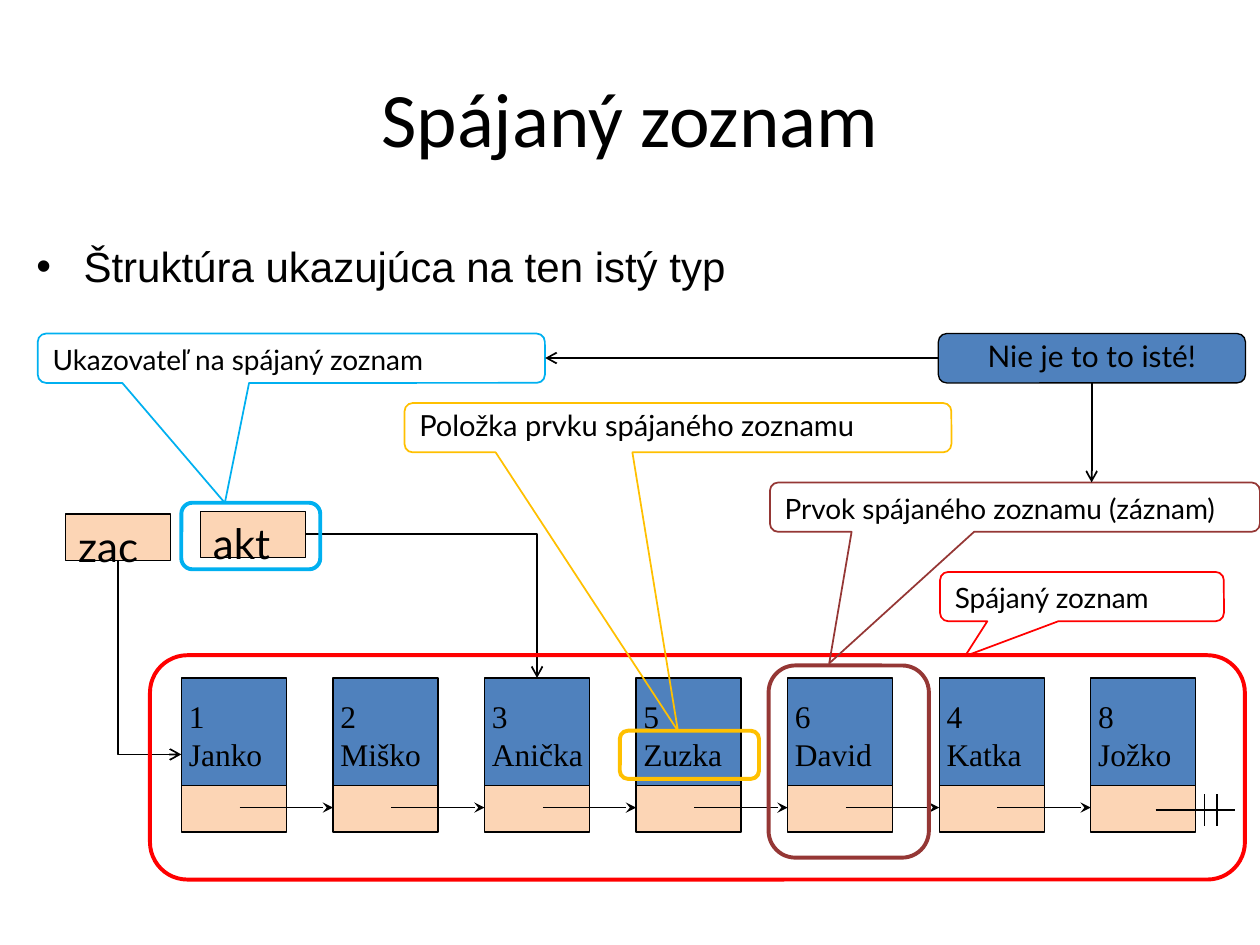
"""Build a slide that explains the parts of a linked list."""
import lxml.etree
import pptx
import pptx.dml.color
import pptx.enum.shapes
import pptx.enum.text
import pptx.oxml.ns
import pptx.util

Pt = pptx.util.Pt
SHAPE = pptx.enum.shapes.MSO_SHAPE
CONNECTOR = pptx.enum.shapes.MSO_CONNECTOR
ALIGN = pptx.enum.text.PP_ALIGN
ANCHOR = pptx.enum.text.MSO_ANCHOR
qn = pptx.oxml.ns.qn

COLORS = {
    "black": "000000",
    "blue": "4F81BD",
    "peach": "FCD5B5",
    "red": "FF0000",
    "brown": "953735",
    "amber": "FFC000",
    "cyan": "00B0F0",
}
NODES = ["1 Janko", "2 Miško", "3 Anička", "5 Zuzka", "6 David", "4 Katka", "8 Jožko"]
NODE_LEFT, NODE_TOP, NODE_PITCH = 103.7, 387.4, 86.6
NODE_WIDTH, NODE_HEIGHT = 60, 87.8
FIELD_TOP, FIELD_HEIGHT = 448.9, 26.6
LINK_Y = 461.5
LABEL_HEIGHT = 28.2


def rgb(name):
    """Return the named colour."""
    return pptx.dml.color.RGBColor.from_string(COLORS[name])


def add_bullet(paragraph):
    """Give a paragraph a bullet and a hanging indent."""
    properties = paragraph._p.get_or_add_pPr()
    properties.set("marL", str(Pt(27)))
    properties.set("indent", str(-Pt(27)))
    lxml.etree.SubElement(properties, qn("a:buFont"), typeface="Arial")
    lxml.etree.SubElement(properties, qn("a:buChar"), char="•")


def write(shape, lines, size, font, align=ALIGN.LEFT, anchor=ANCHOR.TOP, wrap=True,
          spacing=None, bullet=False):
    """Fill a shape with one paragraph per line."""
    frame = shape.text_frame
    frame.word_wrap = wrap
    frame.vertical_anchor = anchor
    frame.text = "\n".join(lines)
    for paragraph in frame.paragraphs:
        if bullet:
            add_bullet(paragraph)
        paragraph.alignment = align
        if spacing:
            paragraph.line_spacing = spacing
        paragraph.font.size = Pt(size)
        paragraph.font.name = font
        paragraph.font.color.rgb = rgb("black")


def add_text(slide, box, lines, size, font, **options):
    """Add a text box."""
    shape = slide.shapes.add_textbox(*map(Pt, box))
    write(shape, lines, size, font, **options)


def add_box(slide, kind, box, line, width, fill=None, adjustments=()):
    """Add a preset shape with an outline and an optional fill."""
    shape = slide.shapes.add_shape(kind, *map(Pt, box))
    shape.shadow.inherit = False
    if fill:
        shape.fill.solid()
        shape.fill.fore_color.rgb = rgb(fill)
    else:
        shape.fill.background()
    shape.line.color.rgb = rgb(line)
    shape.line.width = Pt(width)
    for index, value in enumerate(adjustments):
        shape.adjustments[index] = value
    return shape


def add_frame(slide, box, color):
    """Add a thick rounded outline that marks a part of the list."""
    add_box(slide, SHAPE.ROUNDED_RECTANGLE, box, color, 2.25, adjustments=[0.167])


def add_callout(slide, left, top, width, color, pointer, text, size=16, spacing=None):
    """Add a rounded callout with its pointer tip given as fractions."""
    shape = add_box(slide, SHAPE.ROUNDED_RECTANGULAR_CALLOUT, (left, top, width, LABEL_HEIGHT),
                    color, 1, adjustments=[*pointer, 0.167])
    write(shape, [text], size, "Lato", spacing=spacing)


def add_line(slide, start, end, head=None, kind=CONNECTOR.STRAIGHT):
    """Add a black connector with an optional arrowhead at its end."""
    connector = slide.shapes.add_connector(kind, *map(Pt, (*start, *end)))
    connector.line.color.rgb = rgb("black")
    connector.line.width = Pt(1)
    properties = connector.element.spPr
    if head:
        line = properties.find(qn("a:ln"))
        lxml.etree.SubElement(line, qn("a:tailEnd"), type=head)
    lxml.etree.SubElement(properties, qn("a:effectLst"))
    return connector


def add_bend(slide, start, end, rotation=0):
    """Add an arrow with a single right-angle bend."""
    connector = add_line(slide, start, end, "arrow", CONNECTOR.ELBOW)
    properties = connector.element.spPr
    properties.find(qn("a:prstGeom")).set("prst", "bentConnector2")
    if rotation:
        properties.find(qn("a:xfrm")).set("rot", str(rotation * 60000))


def add_nodes(slide):
    """Add the list nodes, their link fields and the links between them."""
    lefts = [NODE_LEFT + NODE_PITCH * index for index in range(len(NODES))]
    for left, node in zip(lefts, NODES):
        add_box(slide, SHAPE.RECTANGLE, (left, NODE_TOP, NODE_WIDTH, NODE_HEIGHT),
                "black", 0.75, "blue")
        add_text(slide, (left - 2.9, 394.6, 70, 50.4), node.split(), 18,
                 "Times New Roman", wrap=False)
    for left in lefts:
        add_box(slide, SHAPE.RECTANGLE, (left, FIELD_TOP, NODE_WIDTH, FIELD_HEIGHT),
                "black", 0.75, "peach")
    for left, following in zip(lefts, lefts[1:]):
        add_line(slide, (left + 33.3, LINK_Y), (following, LINK_Y), "stealth")
    add_line(slide, (660.4, 463), (705.6, 463))
    for x in (688.3, 695.5):
        add_line(slide, (x, 472), (x, 453.6))


def add_pointers(slide):
    """Add the two pointer variables and their arrows into the list."""
    for left, top, name in ((37.6, 293.8, "zac"), (114.6, 292.2, "akt")):
        shape = add_box(slide, SHAPE.RECTANGLE, (left, top, NODE_WIDTH, FIELD_HEIGHT),
                        "black", 0.75, "peach")
        write(shape, [name], 24, "Lato")
    add_bend(slide, (141, 357.7), (30.2, 393.7), 270)
    add_bend(slide, (174.7, 305.2), (306.9, NODE_TOP))


def add_explanations(slide):
    """Add the callouts, the marked parts and the remark."""
    add_frame(slide, (85.7, 374.4, 625.7, 128.2), "red")
    add_callout(slide, 537.2, 326.8, 162.2, "red", (-0.412, 1.208), "Spájaný zoznam")
    add_frame(slide, (439.2, 380.3, 91.6, 109.8), "brown")
    add_callout(slide, 440, 275.7, 280, "brown", (-0.379, 3.165),
                "Prvok spájaného zoznamu (záznam)")
    add_callout(slide, 231.2, 230.3, 312.5, "amber", (0, 6.147),
                "Položka prvku spájaného zoznamu", 16.6, 0.9)
    add_frame(slide, (354.2, 417.6, 79.5, 27.5), "amber")
    add_callout(slide, 21.6, 190.6, 289.8, "cyan", (-0.131, 2.932),
                "Ukazovateľ na spájaný zoznam")
    add_frame(slide, (103.6, 287.3, 79.4, 38), "cyan")
    remark = add_box(slide, SHAPE.ROUNDED_RECTANGLE, (536.2, 190.6, 175.5, LABEL_HEIGHT),
                     "black", 0.75, "blue", [0.167])
    write(remark, ["Nie je to to isté!"], 17, "Lato", ALIGN.CENTER, spacing=0.9)
    add_line(slide, (536.2, 204.6), (311.6, 204.6), "arrow")
    add_line(slide, (623.8, 218.8), (623.8, 275.7), "arrow")


def main():
    """Build and save the presentation."""
    presentation = pptx.Presentation()
    presentation.slide_width = Pt(720)
    presentation.slide_height = Pt(540)
    slide = presentation.slides.add_slide(presentation.slide_layouts[6])
    add_text(slide, (36, 21.6, 648, 90), ["Spájaný zoznam"], 44, "Calibri",
             align=ALIGN.CENTER, anchor=ANCHOR.MIDDLE)
    add_nodes(slide)
    add_pointers(slide)
    add_text(slide, (13.7, 133.9, 436.3, 43.2), ["Štruktúra ukazujúca na ten istý typ"],
             24, "Arial", bullet=True)
    add_explanations(slide)
    presentation.save("out.pptx")


if __name__ == "__main__":
    main()
